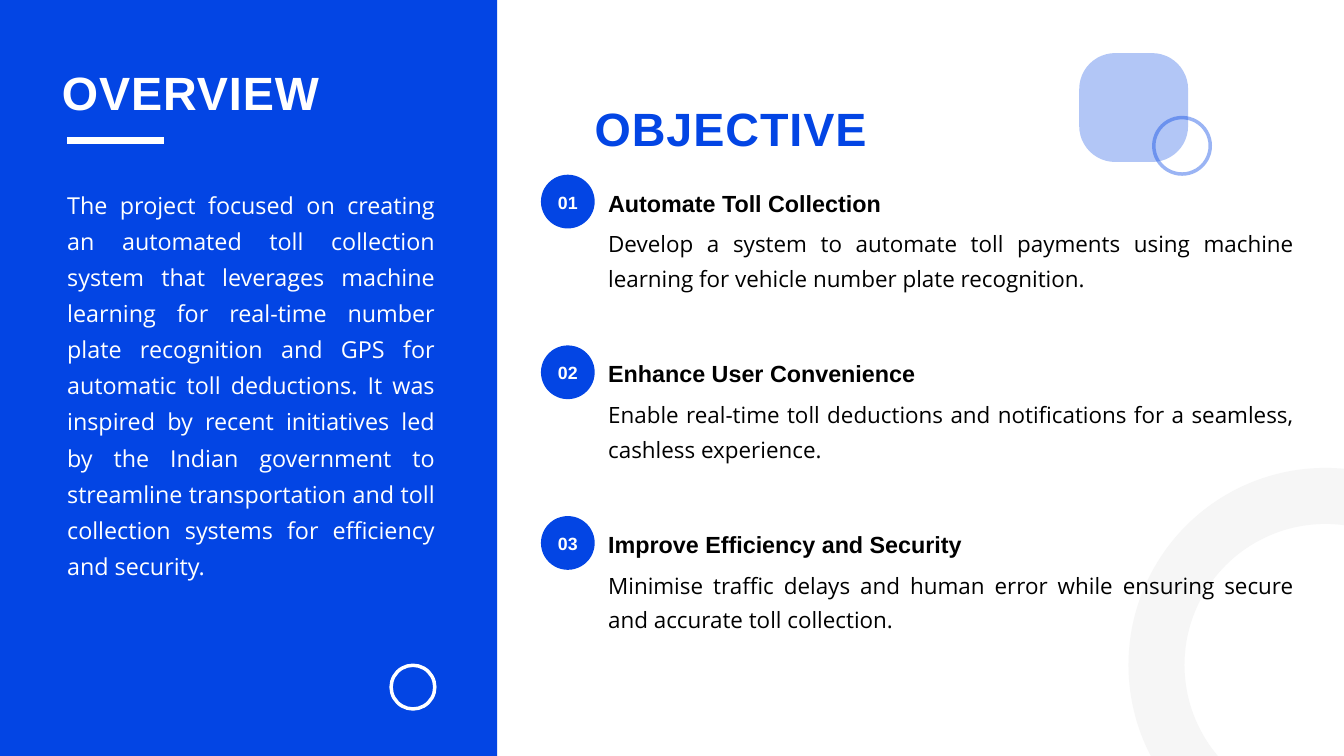
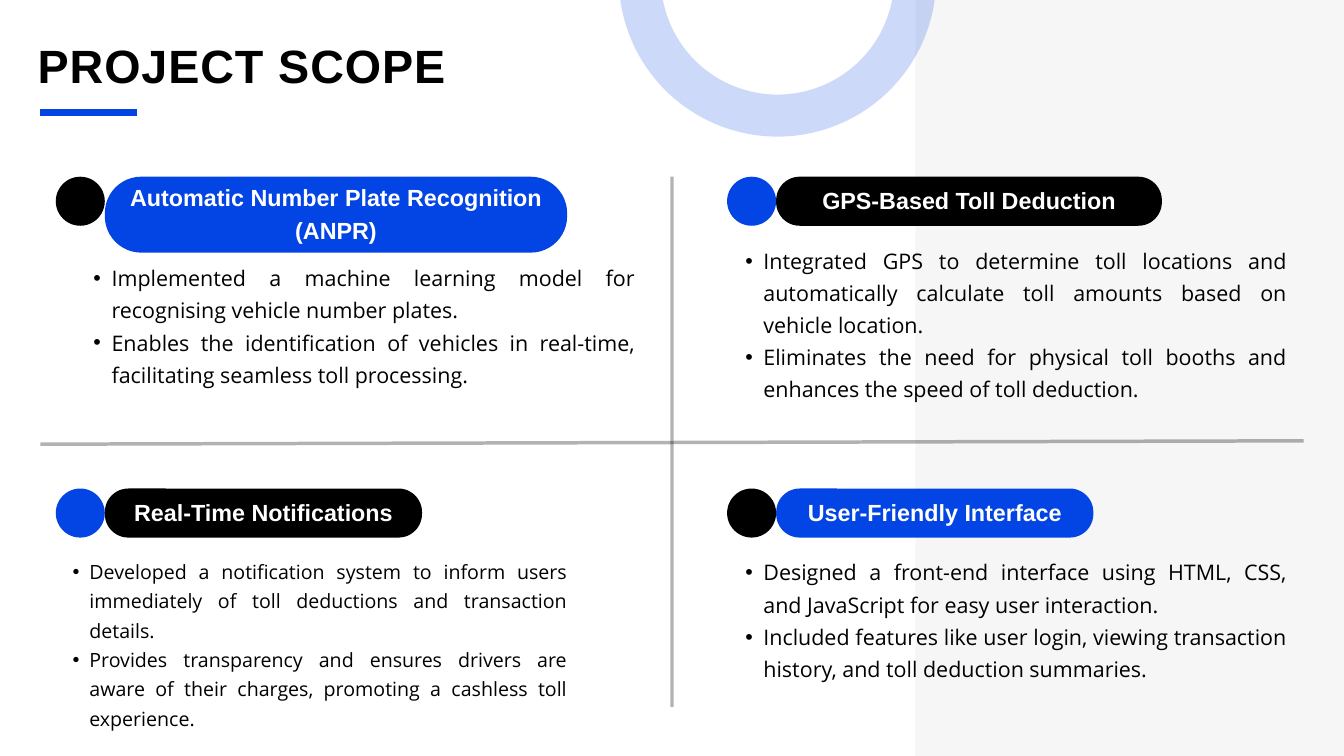
"""Build the overview, objective and scope slides of a toll collection project."""
from lxml import etree
from pptx import Presentation, util as u
from pptx.dml.color import RGBColor
from pptx.enum import shapes, text
from pptx.oxml import ns

WIDTH, HEIGHT = 20, 11.25
COLOURS = {"blue": "0345E4", "black": "000000", "white": "FFFFFF", "grey": "F6F6F6"}
HEADING, BODY = "Arial", "Open Sans"
LEFT, CENTRE, JUSTIFY = text.PP_ALIGN.LEFT, text.PP_ALIGN.CENTER, text.PP_ALIGN.JUSTIFY
TOP, MIDDLE = text.MSO_ANCHOR.TOP, text.MSO_ANCHOR.MIDDLE
OVAL, RECTANGLE = shapes.MSO_SHAPE.OVAL, shapes.MSO_SHAPE.RECTANGLE
ROUNDED = shapes.MSO_SHAPE.ROUNDED_RECTANGLE


def draw(slide, kind, box, fill=None, line=None, weight=0, alpha=None, radius=None, behind=False):
    """Add a preset shape, or a straight line between two points when kind is None."""
    lengths = [u.Inches(value) for value in box]
    if kind is None:
        shape = slide.shapes.add_connector(shapes.MSO_CONNECTOR.STRAIGHT, *lengths)
    else:
        shape = slide.shapes.add_shape(kind, *lengths)
        if fill:
            shape.fill.solid()
            shape.fill.fore_color.rgb = RGBColor.from_string(COLOURS[fill])
        else:
            shape.fill.background()
    if line:
        shape.line.color.rgb = RGBColor.from_string(COLOURS[line])
        shape.line.width = u.Pt(weight)
    else:
        shape.line.fill.background()
    properties = shape.element.spPr
    if alpha:
        for colour in list(properties.iter(ns.qn("a:srgbClr"))):
            etree.SubElement(colour, ns.qn("a:alpha"), val=str(alpha * 1000))
    etree.SubElement(properties, ns.qn("a:effectLst"))
    if radius:
        shape.adjustments[0] = radius
    if behind:
        slide.shapes.title.element.addprevious(shape.element)
    return shape


def write(shape, lines, size, leading, colour="black", heading=False, align=LEFT, box=None,
          anchor=TOP, bottom=0, indent=0, tracking=0):
    """Place a shape and fill it with evenly formatted paragraphs."""
    if box:
        shape.left, shape.top, shape.width, shape.height = [u.Inches(value) for value in box]
    frame = shape.text_frame
    frame.word_wrap = True
    frame.auto_size = text.MSO_AUTO_SIZE.NONE
    frame.vertical_anchor = anchor
    frame.margin_left = frame.margin_top = frame.margin_right = 0
    frame.margin_bottom = u.Inches(bottom)
    frame.text = "\n".join(lines)
    for paragraph in frame.paragraphs:
        paragraph.alignment = align
        paragraph.line_spacing = u.Pt(leading)
        paragraph.space_before = paragraph.space_after = u.Pt(0)
        properties = paragraph._p.get_or_add_pPr()
        properties.set("marL", str(u.Inches(2 * indent)))
        properties.set("indent", str(-u.Inches(indent)))
        if indent:
            etree.SubElement(properties, ns.qn("a:buFont"), typeface=HEADING)
            etree.SubElement(properties, ns.qn("a:buChar"), char="•")
        else:
            etree.SubElement(properties, ns.qn("a:buNone"))
        paragraph.font.name = HEADING if heading else BODY
        paragraph.font.size = u.Pt(size)
        paragraph.font.bold = heading
        paragraph.font.color.rgb = RGBColor.from_string(COLOURS[colour])
        for run in paragraph.runs:
            if tracking:
                run._r.get_or_add_rPr().set("spc", str(tracking))


presentation = Presentation()
presentation.slide_width, presentation.slide_height = u.Inches(WIDTH), u.Inches(HEIGHT)
comparison = presentation.slide_layouts[4]
title_style = dict(size=50, leading=70, heading=True, tracking=100)

slide = presentation.slides.add_slide(comparison)
bodies = list(slide.placeholders)[1:]
draw(slide, RECTANGLE, (0, 0, 0.37 * WIDTH, HEIGHT), "blue", behind=True)
draw(slide, OVAL, (17.21, 7.38, 5.03, 5.03), line="grey", weight=60, behind=True)
write(slide.shapes.title, ["OVERVIEW"], colour="white", box=(0.92, 0.81, 5, 0.93), **title_style)
draw(slide, None, (1, 2.09, 2.44, 2.09), line="white", weight=7.5)
write(bodies[0], [
    "The project focused on creating an automated toll collection system that leverages machine "
    "learning for real-time number plate recognition and GPS for automatic toll deductions. It was "
    "inspired by recent initiatives led by the Indian government to streamline transportation and "
    "toll collection systems for efficiency and security."],
    25, 38.7, "white", align=JUSTIFY, box=(1, 2.72, 5.47, 5.82))
draw(slide, OVAL, (5.82, 9.9, 0.65, 0.65), line="white", weight=3.75)

objective = slide.shapes.add_textbox(0, 0, 0, 0)
write(objective, ["OBJECTIVE"], colour="blue", box=(8.85, 1.34, 5, 0.93), **title_style)
objectives = [
    ("Automate Toll Collection",
     "Develop a system to automate toll payments using machine learning for vehicle number plate "
     "recognition."),
    ("Enhance User Convenience",
     "Enable real-time toll deductions and notifications for a seamless, cashless experience."),
    ("Improve Efficiency and Security",
     "Minimise traffic delays and human error while ensuring secure and accurate toll collection."),
]
for index, (heading, description) in enumerate(objectives):
    row = 2.6 + 2.54 * index
    badge = draw(slide, OVAL, (8.05, row, 0.8, 0.8), "blue")
    write(badge, [f"{index + 1:02}"], 19, 26.6, "white", True, CENTRE, anchor=MIDDLE, bottom=0.04)
    label = slide.shapes.add_textbox(0, 0, 0, 0)
    write(label, [heading], 25, 35, heading=True, box=(9.05, row + 0.14, 6.02, 0.46))
    write(bodies[index + 1], [description], 24, 37.2, align=JUSTIFY,
          box=(9.05, row + 0.71, 10.2, 0.99))
draw(slide, ROUNDED, (16.06, 0.79, 1.62, 1.62), "blue", alpha=30, radius=0.33)
draw(slide, OVAL, (17.17, 1.75, 0.84, 0.84), line="blue", weight=3.75, alpha=40)

slide = presentation.slides.add_slide(comparison)
bodies = list(slide.placeholders)[1:]
draw(slide, RECTANGLE, (13.62, 0, WIDTH - 13.62, HEIGHT), "grey", behind=True)
write(slide.shapes.title, ["PROJECT SCOPE"], box=(0.56, 0.41, 11.78, 0.93), **title_style)
draw(slide, None, (0.6, 1.67, 2.04, 1.67), line="blue", weight=7.5)
for divider in [(0.6, 6.61, 19.4, 6.56), (WIDTH / 2, 2.63, WIDTH / 2, 10.52)]:
    draw(slide, None, divider, line="black", weight=3.75, alpha=30)

scopes = [
    ("Automatic Number Plate Recognition (ANPR)", 6.88, 1.13, (1.12, 3.85, 8.34, 2.37), 23, [
        "Implemented a machine learning model for recognising vehicle number plates.",
        "Enables the identification of vehicles in real-time, facilitating seamless toll processing."]),
    ("GPS-Based Toll Deduction", 5.74, 0.73, (10.82, 3.59, 8.34, 2.85), 23, [
        "Integrated GPS to determine toll locations and automatically calculate toll amounts based on "
        "vehicle location.",
        "Eliminates the need for physical toll booths and enhances the speed of toll deduction."]),
    ("Real-Time Notifications", 4.72, 0.73, (0.83, 8.24, 7.61, 3), 21, [
        "Developed a notification system to inform users immediately of toll deductions and "
        "transaction details.",
        "Provides transparency and ensures drivers are aware of their charges, promoting a cashless "
        "toll experience."]),
    ("User-Friendly Interface", 4.72, 0.73, (10.82, 8.23, 8.34, 2.37), 23, [
        "Designed a front-end interface using HTML, CSS, and JavaScript for easy user interaction.",
        "Included features like user login, viewing transaction history, and toll deduction "
        "summaries."]),
]
dot = 0.73
for index, (heading, width, height, box, size, points) in enumerate(scopes):
    row, column = divmod(index, 2)
    left, top = 0.83 + 9.99 * column, 2.63 + 4.64 * row
    pill_colour, dot_colour = ("blue", "black") if row == column else ("black", "blue")
    draw(slide, OVAL, (left, top, dot, dot), dot_colour)
    pill = draw(slide, ROUNDED, (left + dot, top, width, height), pill_colour, radius=0.48)
    write(pill, [heading], 25, 35, "white", True, CENTRE, anchor=MIDDLE, bottom=0.09)
    write(bodies[index], points, size, 1.5 * size, align=JUSTIFY, box=box,
          indent=0.27 if size == 23 else 0.25)
draw(slide, OVAL, (9.52, -2.38, 4.1, 4.1), line="blue", weight=45, alpha=20)

presentation.save("out.pptx")
